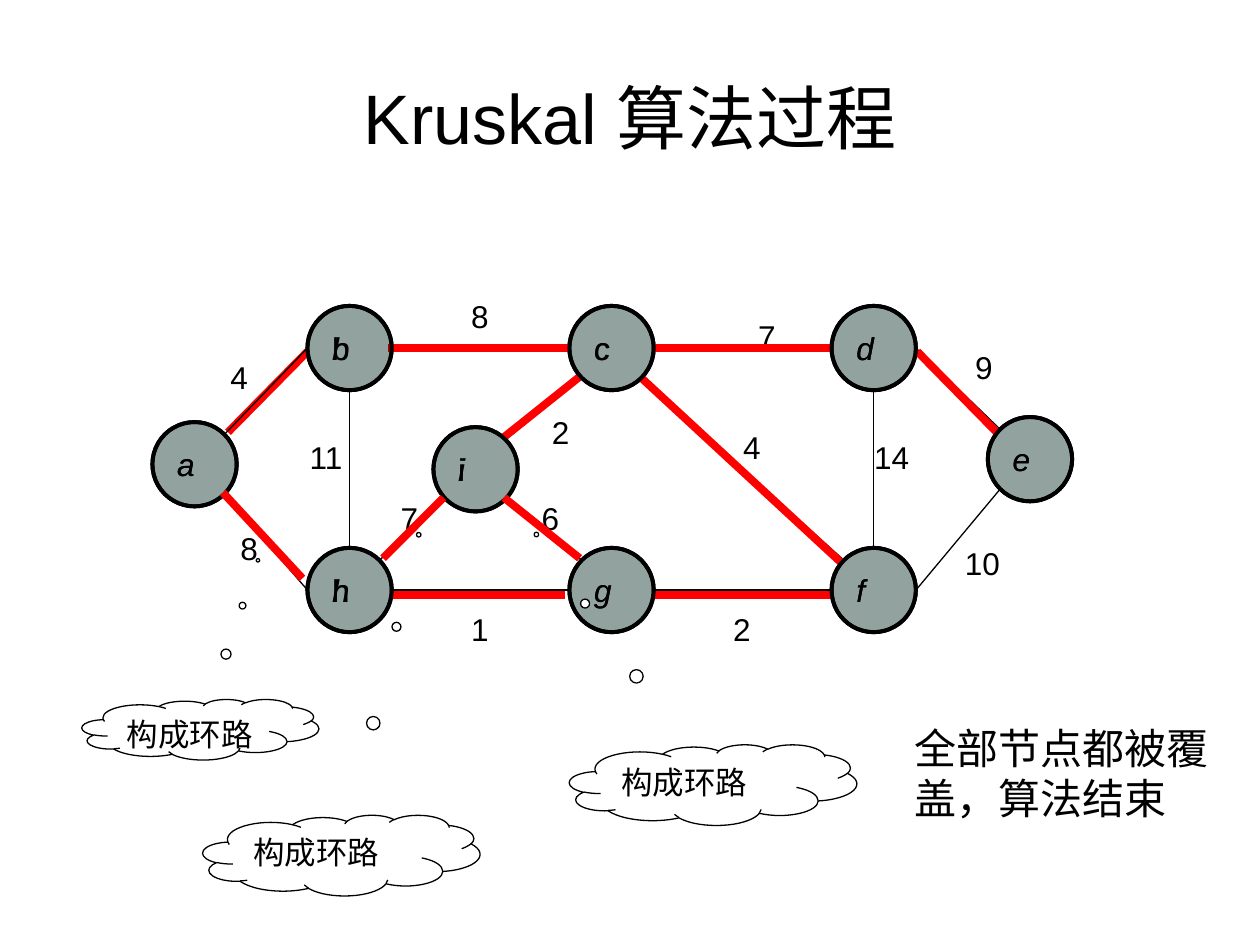
import math

import lxml.etree
import pptx
import pptx.dml.color
import pptx.enum.shapes
import pptx.enum.text
import pptx.oxml.ns
import pptx.util

Pt = pptx.util.Pt
SHAPES = pptx.enum.shapes.MSO_SHAPE
ANCHOR = pptx.enum.text.MSO_ANCHOR
ALIGN = pptx.enum.text.PP_ALIGN

BLACK, WHITE, RED, MINT = "000000", "FFFFFF", "FF0000", "DEF6F1"
RADIUS = 24.1
TOP, BOTTOM = 198.9, 337.2
CENTERS = {
    "b": (199.8, TOP), "c": (349.5, TOP), "h": (199.8, BOTTOM),
    "i": (271.8, 268.2), "f": (499.3, BOTTOM), "a": (111.2, 265.3),
    "e": (588.6, 262.4), "d": (499.3, TOP), "g": (349.5, BOTTOM),
}
UPRIGHT_NODES = "bchi"

# Node, angle where the edge leaves it; node, angle where the edge arrives.
EDGES = [
    ("b", 180, "a", -45), ("c", 180, "b", 0), ("h", 180, "a", 45),
    ("c", 0, "d", 180), ("h", 0, "g", 180), ("c", 135, "i", -45),
    ("i", 135, "h", -45), ("b", 90, "h", -90), ("d", 0, "e", -135),
    ("g", 0, "f", 180), ("d", 90, "f", -90), ("c", 45, "f", -135),
    ("i", 45, "g", -135), ("e", 135, "f", 0),
]
TREE_EDGES = [
    (221.8, 198.7, 325.4, 198.7), (288, 249.8, 331.2, 215.3),
    (224.6, 339.8, 322.6, 339.8), (374.4, 198.7, 475.2, 198.7),
    (365.8, 215.3, 481, 321.8), (374.4, 339.8, 475.2, 339.8),
    (524.2, 200.9, 569.5, 247),
]
WEIGHTS = [
    ("4", 124.6, 200.9), ("8", 262.1, 166.3), ("8", 130.3, 298.8),
    ("4", 417.6, 241.2), ("14", 492.5, 247), ("7", 426.2, 177.8),
    ("9", 550.1, 195.1), ("10", 544.3, 307.4), ("6", 302.4, 281.5),
    ("7", 221.8, 281.5), ("2", 308.2, 232.6), ("11", 169.9, 247),
    ("1", 262.1, 344.9), ("2", 411.8, 344.9),
]
# Closing tree edges, each followed by a cloud: frame and pointer offsets.
CLOSING_STEPS = [
    ((288, 284.4, 331.2, 319), (325.4, 425.5, 164.2, 46.1), (-0.615, -3.105)),
    ((218.9, 319, 253.4, 284.4), (115.9, 465.8, 158.4, 46.1), (0.279, -3.976)),
    ((127.4, 281.5, 172.8, 330.5), (46.8, 399.6, 135.4, 34.6), (0.243, -2.795)),
]


def color(hex_text):
    return pptx.dml.color.RGBColor.from_string(hex_text)


def write(shape, text, size=18, italic=False, anchor=ANCHOR.TOP,
          align=ALIGN.LEFT, wrap=True):
    frame = shape.text_frame
    frame.word_wrap = wrap
    frame.vertical_anchor = anchor
    para = frame.paragraphs[0]
    para.text = text
    para.alignment = align
    para.font.name = "Arial"
    para.font.size = Pt(size)
    para.font.italic = italic
    para.font.color.rgb = color(BLACK)


def add_text(page, text, left, top, width, height, **style):
    box = page.shapes.add_textbox(Pt(left), Pt(top), Pt(width), Pt(height))
    write(box, text, **style)


def add_outlined(page, kind, frame, fill, weight):
    shape = page.shapes.add_shape(kind, *map(Pt, frame))
    shape.shadow.inherit = False
    shape.fill.solid()
    shape.fill.fore_color.rgb = color(fill)
    shape.line.color.rgb = color(BLACK)
    shape.line.width = Pt(weight)
    return shape


def add_node(page, name, fill, italic, opacity=None):
    x, y = CENTERS[name]
    frame = (x - RADIUS, y - RADIUS, 2 * RADIUS, 2 * RADIUS)
    node = add_outlined(page, SHAPES.OVAL, frame, fill, 2.25)
    write(node, name, italic=italic, anchor=ANCHOR.MIDDLE, wrap=False)
    if opacity is not None:
        fill_color = node._element.spPr.find(
            pptx.oxml.ns.qn("a:solidFill"))[0]
        alpha = lxml.etree.SubElement(fill_color, pptx.oxml.ns.qn("a:alpha"))
        alpha.set("val", str(opacity * 1000))


def add_line(page, points, line_color, weight):
    line = page.shapes.add_connector(
        pptx.enum.shapes.MSO_CONNECTOR.STRAIGHT, *map(Pt, points))
    line.line.color.rgb = color(line_color)
    line.line.width = Pt(weight)
    lxml.etree.SubElement(line._element.spPr, pptx.oxml.ns.qn("a:effectLst"))


def add_tree_edge(page, points):
    add_line(page, points, RED, 4.5)


def rim_point(name, angle):
    x, y = CENTERS[name]
    turn = math.radians(angle)
    return x + RADIUS * math.cos(turn), y + RADIUS * math.sin(turn)


def add_cloud(page, frame, pointer):
    cloud = add_outlined(page, SHAPES.CLOUD_CALLOUT, frame, WHITE, 0.75)
    for index, offset in enumerate(pointer):
        cloud.adjustments[index] = offset
    write(cloud, "构成环路")


def main():
    deck = pptx.Presentation()
    deck.slide_width, deck.slide_height = Pt(720), Pt(540)
    page = deck.slides.add_slide(deck.slide_layouts[6])
    add_text(page, "Kruskal 算法过程", 36, 21.6, 648, 90, size=40,
             anchor=ANCHOR.MIDDLE, align=ALIGN.CENTER)

    for name in CENTERS:
        add_node(page, name, MINT, italic=name not in UPRIGHT_NODES)
    add_tree_edge(page, (130.3, 247, 175.7, 200.9))
    for start, leaving, end, arriving in EDGES:
        points = rim_point(start, leaving) + rim_point(end, arriving)
        add_line(page, points, BLACK, 0.75)
    for text, left, top in WEIGHTS:
        add_text(page, text, left, top, 23 if len(text) == 1 else 36, 28.8)

    for points in TREE_EDGES:
        add_tree_edge(page, points)
    for name in CENTERS:
        add_node(page, name, BLACK, italic=True, opacity=34)
    for points, frame, pointer in CLOSING_STEPS:
        add_tree_edge(page, points)
        add_cloud(page, frame, pointer)
    add_text(page, "全部节点都被覆盖，算法结束", 515.5, 373.7, 190.1, 135.4,
             size=24, anchor=ANCHOR.MIDDLE)
    deck.save("out.pptx")


if __name__ == "__main__":
    main()
